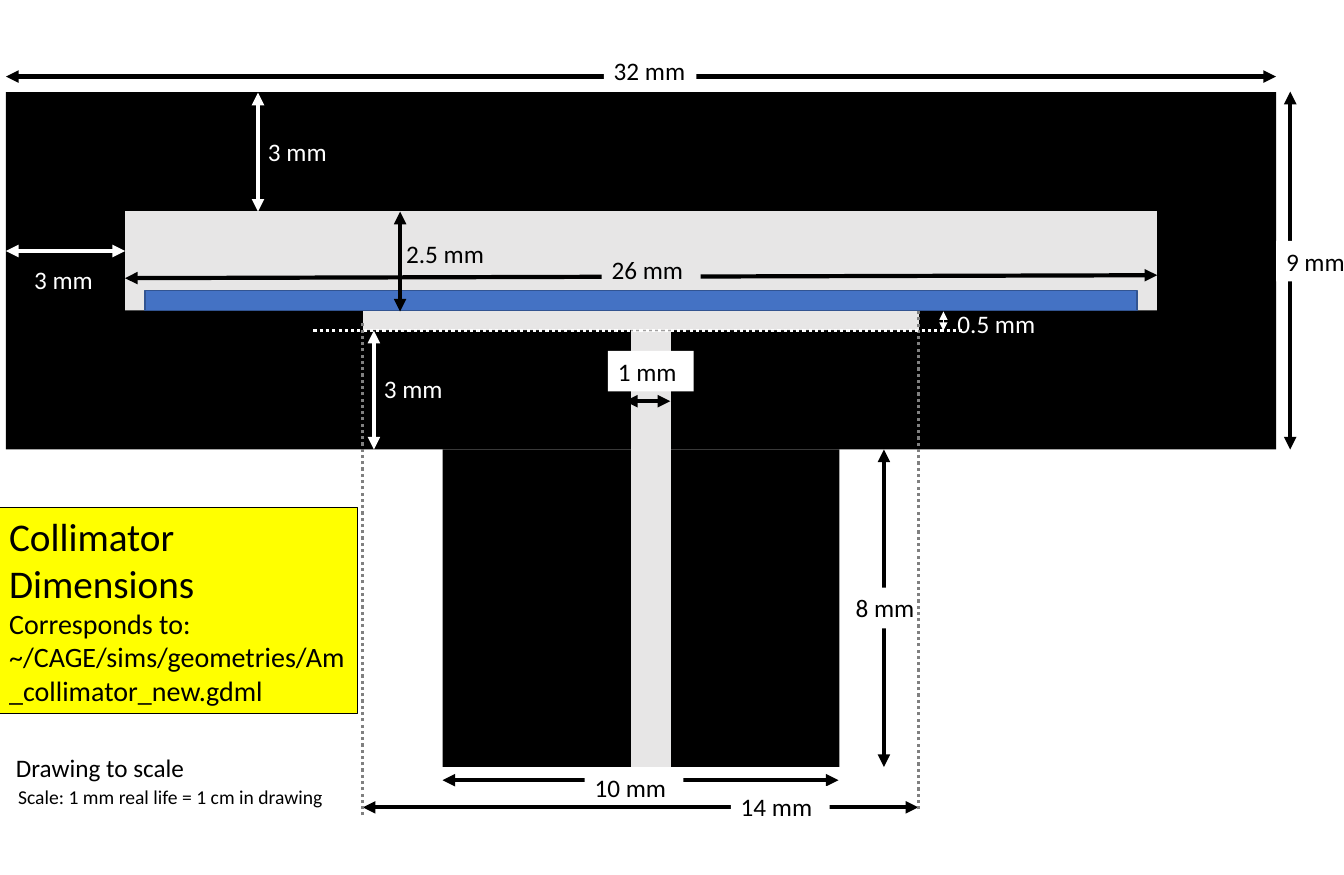
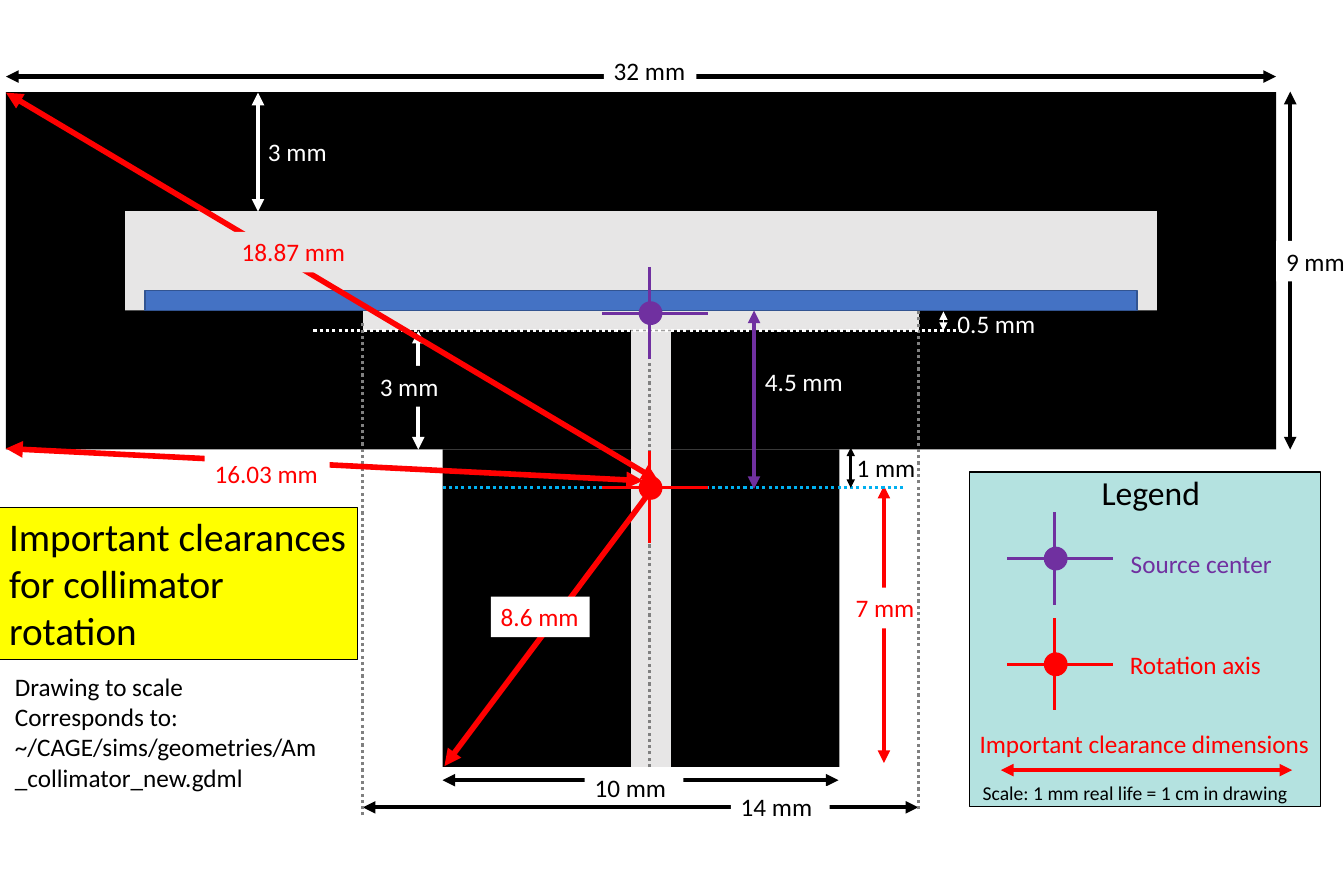
from lxml.etree import SubElement as Sub
from pptx import Presentation
from pptx.dml.color import RGBColor
from pptx.enum.dml import MSO_LINE as Dash
from pptx.enum.shapes import MSO_CONNECTOR as Conn, MSO_SHAPE as Kind
from pptx.enum.text import MSO_ANCHOR as Anchor, MSO_AUTO_SIZE as Fit, PP_ALIGN as Align
from pptx.oxml.ns import qn
from pptx.util import Pt

rgb = RGBColor.from_string
BLACK, WHITE, GREY, RED = "000000", "FFFFFF", "E7E6E6", "FF0000"
PURPLE, BLUE, NAVY, CYAN = "7030A0", "4472C4", "325491", "00B0F0"
DOTS, YELLOW, TEAL = "808080", "FFFF00", "52BDB9"
FONT = "Calibri"
FRAME = {"auto_size": Fit.NONE, "vertical_anchor": Anchor.TOP}
PARA = {"alignment": Align.LEFT, "line_spacing": 1.0, "space_before": Pt(0)}
MM, LEFT, TOP, TALL = 28.35, 4.3, 65.8, 29


def dress(shape, fill=None, edge=None, thick=1, text=(), ink=BLACK, wrap=False):
    if fill:
        shape.fill.solid()
        shape.fill.fore_color.rgb = rgb(fill)
    if edge:
        shape.line.color.rgb = rgb(edge)
        shape.line.width = Pt(thick)
    else:
        shape.line.fill.background()
    shape.shadow.inherit = False
    frame = shape.text_frame
    frame.word_wrap = wrap
    for name, value in FRAME.items():
        setattr(frame, name, value)
    for i, (words, size) in enumerate(text):
        para = frame.add_paragraph() if i else frame.paragraphs[0]
        for name, value in PARA.items():
            setattr(para, name, value)
        run = para.add_run()
        run.text = words
        style = {"name": FONT, "size": Pt(size), "bold": False}
        for name, value in style.items():
            setattr(run.font, name, value)
        run.font.color.rgb = rgb(ink)
    return shape


def draw(shapes, ends, ink, thick, arrow=False, dash=None):
    link = shapes.add_connector(Conn.STRAIGHT, *map(Pt, ends))
    link.line.color.rgb = rgb(ink)
    link.line.width = Pt(thick)
    if dash:
        link.line.dash_style = dash
    props = link.element.spPr
    if arrow:
        for end in ("a:headEnd", "a:tailEnd"):
            Sub(props.find(qn("a:ln")), qn(end), type="triangle")
    Sub(props, qn("a:effectLst"))


PARTS = [
    (0, 0, 32, 9, BLACK, None),
    (11, 9, 10, 8, BLACK, None),
    (3, 3, 26, 2.5, GREY, None),
    (9, 5.5, 14, 0.5, GREY, None),
    (15.75, 6, 1, 11, GREY, None),
    (3.5, 5, 25, 0.5, BLUE, NAVY),
]
DIMS = [
    ("32 mm", (4.3, 54.7, 911.5, 54.7), BLACK, 3, (431.3, 36, 66.2), WHITE, BLACK),
    ("9 mm", (921.6, 321.1, 921.6, 65.5), BLACK, 3, (911.5, 172.1, 56.9), WHITE, BLACK),
    ("10 mm", (316.1, 557.3, 599, 557.3), BLACK, 3, (417.6, 547.9, 70.6), WHITE, BLACK),
    ("14 mm", (259.2, 576.7, 655.9, 576.7), BLACK, 3, (522, 561.6, 70.6), WHITE, BLACK),
    ("0.5 mm", (673.9, 222.5, 673.9, 236.2), WHITE, 0.25, (676.8, 216.7, 74.9), None, WHITE),
    ("3 mm", (184.3, 66.2, 184.3, 151.2), WHITE, 3, (184.3, 93.6, 61.2), None, WHITE),
]
GUIDES = [
    ((259.2, 582.5, 259.2, 229), DOTS),
    ((655.9, 578.2, 655.9, 221.8), DOTS),
    ((223.9, 236.2, 689, 236.2), WHITE),
]
SCALE = "Scale: 1 mm real life = 1 cm in drawing"
SOURCE = "Corresponds to: ~/CAGE/sims/geometries/Am_collimator_new.gdml"

PAGES = [
    {
        "title": [("Collimator Dimensions", 28), (SOURCE, 20)],
        "high": 147.6,
        "stem": ("8 mm", (631.4, 547.9, 631.4, 321.1), BLACK, 3, (604.1, 419.8, 56.9), WHITE, BLACK),
        "dims": [
            ("1 mm", (446.4, 286.6, 478.8, 286.6), BLACK, 3, (434.2, 250.6, 61.2), WHITE, BLACK),
            ("3 mm", (267.1, 236.2, 267.1, 321.1), WHITE, 3, (267.1, 262.8, 61.2), None, WHITE),
            ("26 mm", (89.3, 198.7, 826.6, 196.6), BLACK, 3, (429.8, 177.8, 70.6), GREY, BLACK),
            ("2.5 mm", (285.8, 151.2, 285.8, 222.5), BLACK, 3, (283, 167, 74.9), None, BLACK),
            ("3 mm", (89.3, 179.3, 4.3, 179.3), WHITE, 3, (17.3, 185, 61.2), None, WHITE),
        ],
        "guides": [],
        "panel": None,
        "marks": [],
        "notes": [
            ([("Drawing to scale", 18)], (4.3, 533.5, 228, TALL), BLACK, True),
            ([(SCALE, 14)], (5.8, 557.3, 234, 24.5), BLACK, False),
        ],
    },
    {
        "title": [("Important clearances for collimator rotation", 28)],
        "high": 108.7,
        "stem": ("7 mm", (631.4, 545, 631.4, 347), RED, 3, (604.1, 419.8, 56.9), WHITE, RED),
        "dims": [
            ("4.5 mm", (538.6, 221.8, 538.6, 349.2), PURPLE, 3, (539.3, 257.8, 74.9), None, WHITE),
            ("3 mm", (298.8, 236.2, 298.8, 321.1), WHITE, 3, (264.2, 261.4, 61.2), BLACK, WHITE),
            ("18.87 mm", (470.2, 343.4, 4.3, 66.2), RED, 4, (165.6, 165.6, 89.3), GREY, RED),
            ("16.03 mm", (459.4, 343.4, 4.3, 320.4), RED, 4, (146.2, 324, 89.3), WHITE, RED),
            ("8.6 mm", (470.2, 343.4, 317.5, 547.2), RED, 4, (350.6, 426.2, 70.6), WHITE, RED),
            ("1 mm", (607.7, 319.7, 607.7, 348.5), BLACK, 2, (604.8, 319.7, 61.2), None, BLACK),
        ],
        "guides": [
            ((316.1, 348.5, 646.6, 348.5), CYAN),
            ((463.7, 547.9, 463.7, 236.2), DOTS),
        ],
        "panel": (692.6, 337, 250.6, 239),
        "marks": [
            (463.7, 348.5, 6.5, RED),
            (463.7, 223.7, 0, PURPLE),
            (753.1, 474.5, 0, RED),
            (753.1, 399, 0, PURPLE),
        ],
        "notes": [
            ([("Drawing to scale", 18), (SOURCE, 18)], (3.6, 475.9, 230.4, 94.3), BLACK, True),
            ([("Legend", 24)], (779.8, 333.4, 85.7, 36), BLACK, False),
            ([("Source center", 18)], (800.6, 388.1, 116.6, TALL), PURPLE, False),
            ([("Rotation axis", 18)], (799.9, 460.1, 109.4, TALL), RED, False),
            ([("Important clearance dimensions", 18)], (692.6, 517, 252.7, TALL), RED, False),
            ([(SCALE, 14)], (694.8, 554.4, 234, 24.5), BLACK, False),
        ],
    },
]

deck = Presentation()
deck.slide_width, deck.slide_height = Pt(960), Pt(625)

for page in PAGES:
    shapes = deck.slides.add_slide(deck.slide_layouts[5]).shapes
    place = {"left": -0.7, "top": 362.2, "width": 256.3, "height": page["high"]}
    for name, value in place.items():
        setattr(shapes.title, name, Pt(value))
    dress(shapes.title, YELLOW, BLACK, 0.75, page["title"], wrap=True)

    for x, y, wide, high, fill, edge in PARTS:
        spot = (LEFT + x * MM, TOP + y * MM, wide * MM, high * MM)
        dress(shapes.add_shape(Kind.RECTANGLE, *map(Pt, spot)), fill, edge)

    if page["panel"]:
        panel = shapes.add_shape(Kind.RECTANGLE, *map(Pt, page["panel"]))
        dress(panel, TEAL, BLACK)
        tint = panel.element.spPr.find(qn("a:solidFill"))[0]
        Sub(tint, qn("a:alpha"), val="43000")
        draw(shapes, (923, 550.1, 715, 550.1), RED, 3, arrow=True)

    groups = [
        ([page["stem"]] + DIMS, GUIDES + page["guides"]),
        (page["dims"], []),
    ]
    for dims, guides in groups:
        for words, ends, ink, thick, spot, fill, tone in dims:
            draw(shapes, ends, ink, thick, arrow=True)
            label = shapes.add_textbox(*map(Pt, (*spot, TALL)))
            dress(label, fill, text=[(words, 18)], ink=tone)
        for ends, ink in guides:
            draw(shapes, ends, ink, 2.25, dash=Dash.ROUND_DOT)

    for x, y, drop, ink in page["marks"]:
        spot = (x - 6.5, y - 7.5, 15, 15)
        dress(shapes.add_shape(Kind.OVAL, *map(Pt, spot)), ink, ink, 2)
        draw(shapes, (x, y - 33 + drop, x, y + 33 + drop), ink, 2)
        draw(shapes, (x - 33.5, y, x + 42, y), ink, 2)

    for text, spot, ink, wrap in page["notes"]:
        dress(shapes.add_textbox(*map(Pt, spot)), text=text, ink=ink, wrap=wrap)

deck.save("out.pptx")
